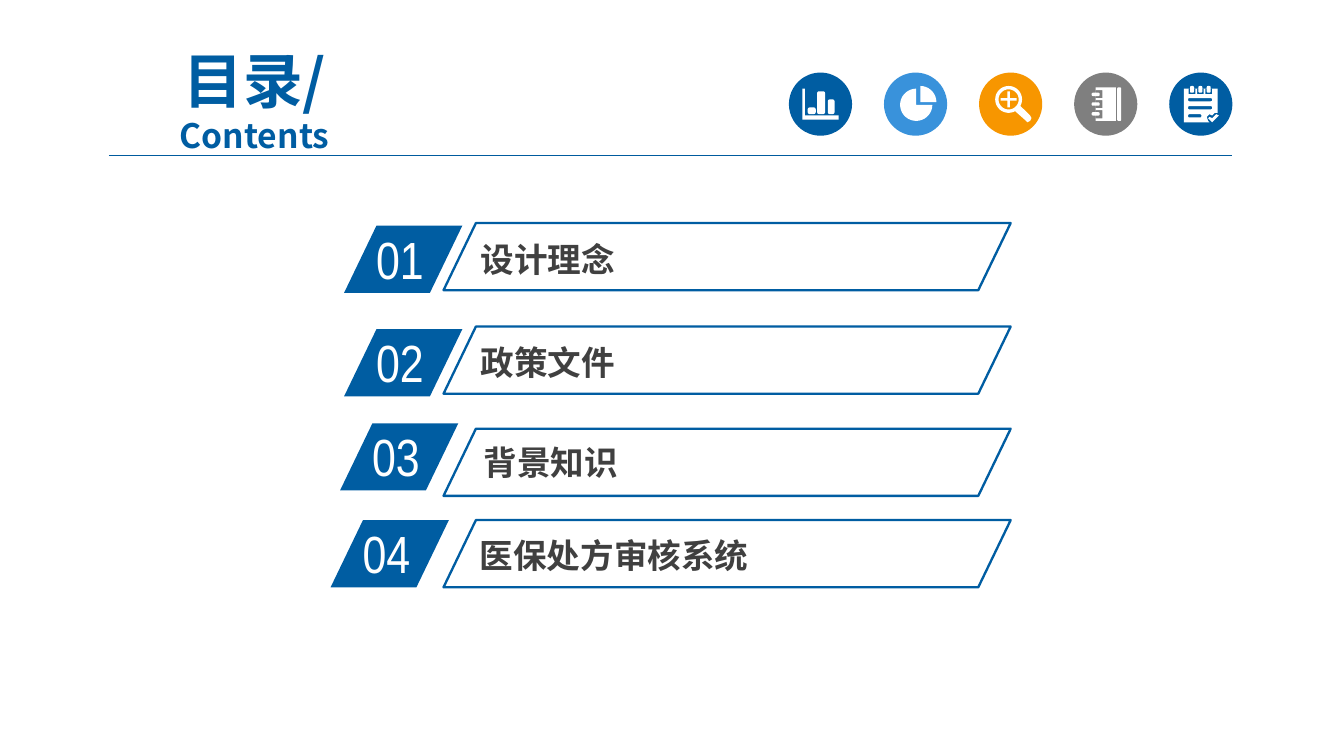
from math import cos, radians, sin

from lxml.etree import SubElement
from pptx import Presentation
from pptx.dml.color import RGBColor
from pptx.enum.shapes import MSO_CONNECTOR, MSO_SHAPE
from pptx.enum.text import MSO_ANCHOR, MSO_AUTO_SIZE, PP_ALIGN
from pptx.oxml.ns import qn
from pptx.util import Emu, Inches, Pt

COLORS = {"blue": "005DA2", "rule": "005B9E", "sky": "3992DB", "orange": "F79600",
          "gray": "7F7F7F", "ink": "404040", "white": "FFFFFF"}
CJK, NARROW = "Noto Sans CJK SC", "Arial Narrow"
SLIDE_W = Inches(10)
SLIDE_H = Emu(SLIDE_W * 9 // 16)
COLUMNS = 1000  # the slide is a grid of square cells, 1000 across
DISC = 47       # icon diameter in cells


def cells(count):
    return Emu(round(SLIDE_W * count / COLUMNS))


def place(box):
    return [cells(length) for length in box]


def rgb(name):
    return RGBColor.from_string(COLORS[name])


def add_run(paragraph, text, font, size, color, bold=False):
    run = paragraph.add_run()
    run.text = text
    run.font.name, run.font.size, run.font.bold = font, Pt(size), bold
    run.font.color.rgb = rgb(color)
    SubElement(run.font._element, qn("a:ea")).set("typeface", font)


def paint(shape, fill=None, line=None):
    shape.shadow.inherit = False
    if fill:
        shape.fill.solid()
        shape.fill.fore_color.rgb = rgb(fill)
    else:
        shape.fill.background()
    if line:
        shape.line.color.rgb = rgb(line)
        shape.line.width = Pt(1.25)
    else:
        shape.line.fill.background()


# Contours for the icons, in cells from the corner of the disc
def arc(cx, cy, r, start=0, end=360, step=10):
    count = max(2, round((end - start) / step))
    angles = [radians(start + (end - start) * i / count) for i in range(count + 1)]
    return [(cx + r * cos(a), cy + r * sin(a)) for a in angles]


def rounded(x, y, w, h, r=1):
    corners = [(x + w - r, y + h - r, 0), (x + r, y + h - r, 90),
               (x + r, y + r, 180), (x + w - r, y + r, 270)]
    return [point for cx, cy, a in corners for point in arc(cx, cy, r, a, a + 90, 30)]


def rect(x, y, w, h):
    return [(x, y), (x + w, y), (x + w, y + h), (x, y + h)]


def bar_chart():
    axes = [(10, 12), (12, 12), (12, 32), (37, 32), (37, 35), (10, 35)]
    bars = [(14, 26, 6), (21, 14, 6), (29, 20, 5)]
    return [axes] + [rounded(x, top, w, 31 - top, 1.5) for x, top, w in bars]


def pie_chart():
    return [[(27, 22)] + arc(27, 22, 12, 270, 360), [(24, 24)] + arc(24, 24, 12, 0, 270)]


def magnifier():
    handle = [(38, 32), (39, 34), (38, 36), (36, 37), (35, 36)]
    plus = [(16, 19), (21, 19), (21, 14), (23, 14), (23, 19), (28, 19),
            (28, 21), (23, 21), (23, 26), (21, 26), (21, 21), (16, 21)]
    return [arc(22, 20, 10, 61, 389) + handle, arc(22, 20, 7.5), plus]


def notebook():
    notches = [rect(16, top, 5, 6) for top in (13, 20.5, 28)]
    rings = [rounded(13, top, 6, 2.5) for top in (15, 22.2, 29.5)]
    return [rect(16, 11, 15, 25), rounded(32, 11, 3, 25)] + notches + rings


def notepad():
    page = [(11, 12), (36, 12), (36, 30), (34, 30), (32, 32), (30, 31),
            (28, 33), (29, 36), (30, 37), (11, 37)]
    check = [(29, 34), (30, 33), (32, 34), (35, 31), (37, 32), (32, 37)]
    lines = [rounded(14, y, w, 2.4) for y, w in ((19, 18), (25, 18), (31, 10))]
    bindings = [shape for x in (14.5, 20.7, 26.9)
                for shape in (rect(x, 12, 5, 4), rounded(x + 1, 10, 3, 5))]
    return [page, check] + lines + bindings


ICONS = [("blue", bar_chart), ("sky", pie_chart), ("orange", magnifier),
         ("gray", notebook), ("blue", notepad)]


def add_icon(slide, left, top, color, glyph):
    icon = slide.shapes.add_group_shape().shapes
    paint(icon.add_shape(MSO_SHAPE.OVAL, *place((left, top, DISC, DISC))), color)
    contours = [[(cells(left + x), cells(top + y)) for x, y in contour]
                for contour in glyph()]
    builder = icon.build_freeform(*contours[0][0])
    for i, contour in enumerate(contours):
        if i:
            builder.move_to(*contour[0])
        builder.add_line_segments(contour[1:], close=True)
    paint(builder.convert_to_shape(), "white")


def add_icon_strip(slide, left, top, width):
    pitch = (width - DISC) / (len(ICONS) - 1)
    for i, (color, glyph) in enumerate(ICONS):
        add_icon(slide, left + i * pitch, top, color, glyph)


def add_heading(slide, box):
    title = slide.shapes.title
    title.left, title.top, title.width, title.height = place(box)
    frame = title.text_frame
    frame.auto_size, frame.vertical_anchor = MSO_AUTO_SIZE.NONE, MSO_ANCHOR.MIDDLE
    heading = frame.paragraphs[0]
    heading.alignment, heading.line_spacing = PP_ALIGN.CENTER, 1.0
    heading.space_before = Pt(6.4)
    add_run(heading, "目录/", CJK, 32, "blue", True)
    heading.add_line_break()
    add_run(heading, "Contents", CJK, 18, "blue", True)


def add_rule(slide, left, right, y):
    rule = slide.shapes.add_connector(MSO_CONNECTOR.STRAIGHT, *place((left, y, right, y)))
    rule.line.color.rgb = rgb("rule")
    rule.line.width = Pt(0.75)
    SubElement(rule._element.spPr, qn("a:effectLst"))


def add_slanted(shapes, box, fill=None, line=None):
    slanted = shapes.add_shape(MSO_SHAPE.PARALLELOGRAM, *place(box))
    slanted.adjustments[0] = 0.482
    paint(slanted, fill, line)


def add_text(shapes, box, text, font, size, color, bold=False, insets=(10, 5), wrap=True):
    frame = shapes.add_textbox(*place(box)).text_frame
    frame.word_wrap = wrap
    frame.margin_left = frame.margin_right = cells(insets[0])
    frame.margin_top = frame.margin_bottom = cells(insets[1])
    add_run(frame.paragraphs[0], text, font, size, color, bold)


def add_entry(slide, left, top, number, tile_shift, label, label_box, **label_format):
    # Numbered tile
    x, y = left + tile_shift[0], top + tile_shift[1]
    tile = slide.shapes.add_group_shape().shapes
    add_slanted(tile, (x, y, 88, 50), fill="blue")
    add_text(tile, (x + 14, y - 4, 84, 57), f"{number:02}", NARROW, 28, "white")
    # Outlined bar with its label
    dx, dy, width, height = label_box
    add_slanted(slide.shapes, (left, top, 422, 50), line="blue")
    add_text(slide.shapes, (left + dx, top + dy, width, height),
             label, CJK, 18, "ink", True, **label_format)


# Bar top, tile shift, label, label box from the bar's corner, and label format
TIGHT, FREE = {"insets": (7.5, 4)}, {"wrap": False}
ENTRIES = [(166, (-74, 2), "设计理念", (20, 8, 309, 38), TIGHT),
           (243, (-74, 2), "政策文件", (20, 7.5, 309, 38), TIGHT),
           (319, (-77, -4), "背景知识", (20, 5, 121, 40), FREE),
           (387, (-84, 0), "医保处方审核系统", (17, 6, 222, 61), FREE)]


def main():
    prs = Presentation()
    prs.slide_width, prs.slide_height = SLIDE_W, SLIDE_H
    slide = prs.slides.add_slide(prs.slide_layouts[5])
    # Header
    add_heading(slide, (66, 47, 247, 54))
    add_rule(slide, 81, 917, 115.6)
    add_icon_strip(slide, 587, 54, 330)
    # Contents list
    for number, (top, tile_shift, label, label_box, label_format) in enumerate(ENTRIES, 1):
        add_entry(slide, 330, top, number, tile_shift, label, label_box, **label_format)
    prs.save("out.pptx")


if __name__ == "__main__":
    main()
